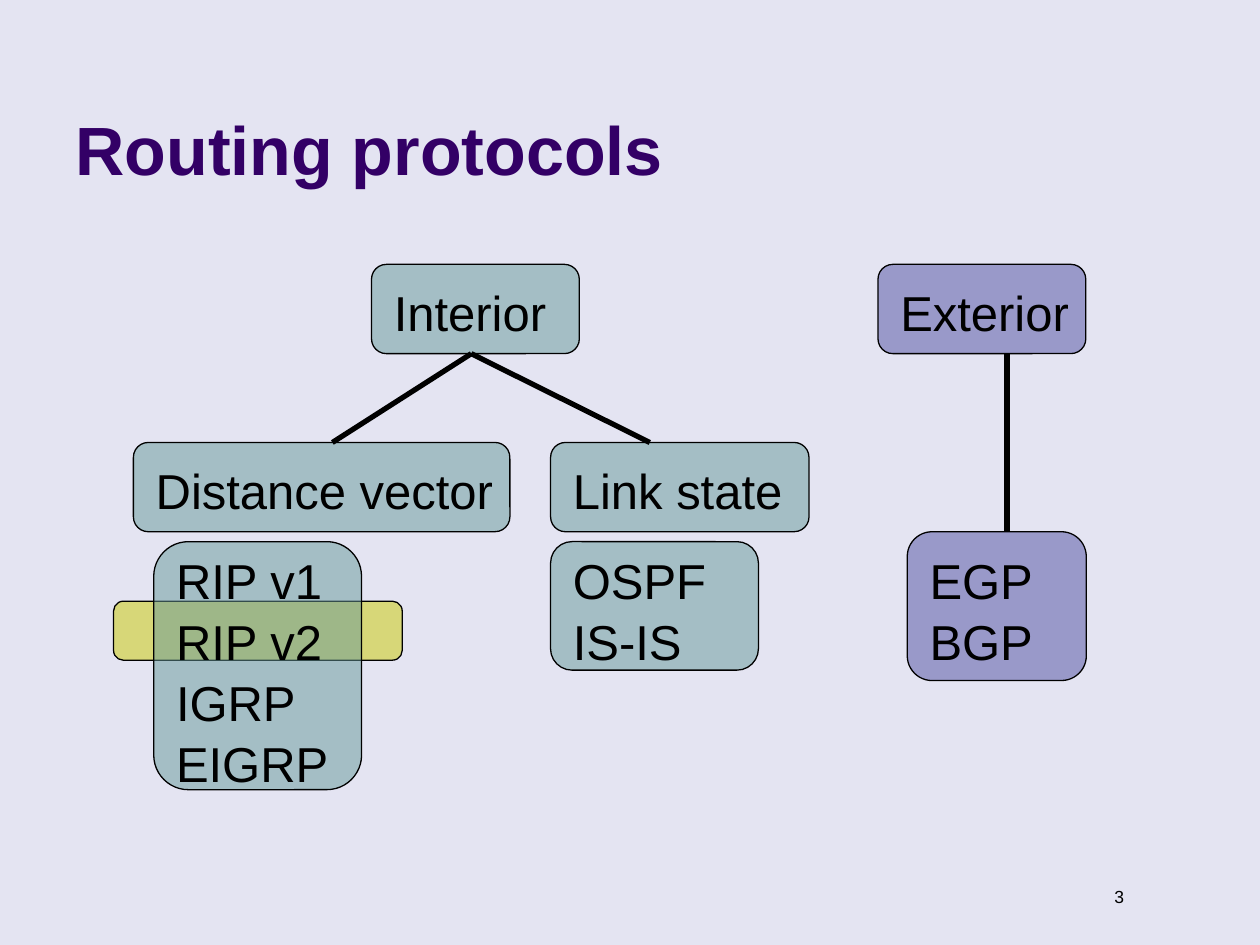
"""Build a slide that sorts routing protocols into interior and exterior families."""
from pptx import Presentation
from pptx import util as u
from pptx.dml.color import RGBColor
from pptx.enum import shapes, text
from pptx.oxml.ns import qn
from lxml import etree

BACKGROUND = RGBColor(0xE4, 0xE4, 0xF2)
BLACK = RGBColor(0x00, 0x00, 0x00)
PURPLE = RGBColor(0x33, 0x00, 0x66)
TEAL = RGBColor(0x66, 0x99, 0x99)
VIOLET = RGBColor(0x4F, 0x4F, 0xA1)
YELLOW = RGBColor(0xCC, 0xCC, 0x00)


class Deck:
    font = "Arial"
    text_size = 28
    line_height = 1.19
    text_inset = 0.2

    def __init__(self, prs):
        self.s = prs.slides.add_slide(prs.slide_layouts[5])
        fill = self.s.background.fill
        fill.solid()
        fill.fore_color.rgb = BACKGROUND

    def style(self, p, size, colour, align=text.PP_ALIGN.LEFT, bold=False):
        p.alignment = align
        p.font.name = self.font
        p.font.size = u.Pt(size)
        p.font.bold = bold
        p.font.color.rgb = colour

    def title(self, words, left, top, width, height):
        sp = self.s.shapes.title
        sp.left, sp.top, sp.width, sp.height = map(u.Cm, (left, top, width, height))
        tf = sp.text_frame
        tf.text = words
        tf.auto_size = text.MSO_AUTO_SIZE.NONE
        tf.vertical_anchor = text.MSO_ANCHOR.BOTTOM
        self.style(tf.paragraphs[0], 39, PURPLE, bold=True)

    def label(self, words, left, top, width, height, size=text_size,
              align=text.PP_ALIGN.LEFT):
        sp = self.s.shapes.add_textbox(*map(u.Cm, (left, top, width, height)))
        tf = sp.text_frame
        tf.word_wrap = True
        p = tf.paragraphs[0]
        p.text = words
        p.line_spacing = 1.04
        self.style(p, size, BLACK, align)

    def box(self, left, top, width, height, colour):
        sp = self.s.shapes.add_shape(shapes.MSO_SHAPE.ROUNDED_RECTANGLE,
                                     *map(u.Cm, (left, top, width, height)))
        sp.shadow.inherit = False
        sp.fill.solid()
        sp.fill.fore_color.rgb = colour
        clr = sp.fill._xPr.find(qn("a:solidFill"))[0]
        etree.SubElement(clr, qn("a:alpha")).set("val", "50000")
        sp.line.color.rgb = BLACK
        sp.line.width = u.Pt(0.75)

    def node(self, words, left, top, width, height, colour, text_width=5.59, drop=0.2):
        self.box(left, top, width, height, colour)
        lines = words.count("\v") + 1
        self.label(words, left + self.text_inset, top + drop, text_width,
                   lines * self.line_height + 0.25)

    def line(self, x1, y1, x2, y2):
        c = self.s.shapes.add_connector(shapes.MSO_CONNECTOR.STRAIGHT,
                                        *map(u.Cm, (x1, y1, x2, y2)))
        c.line.color.rgb = BLACK
        c.line.width = u.Pt(3)
        etree.SubElement(c._element.spPr, qn("a:effectLst"))


def main():
    prs = Presentation()
    prs.slide_width, prs.slide_height = u.Cm(25.4), u.Cm(19.05)
    deck = Deck(prs)
    deck.title("Routing protocols", 1.27, 0.33, 20.96, 3.61)

    deck.box(2.29, 12.12, 5.82, 1.19, YELLOW)
    deck.node("RIP v1\vRIP v2\vIGRP\vEIGRP", 3.1, 10.92, 4.19, 5, TEAL, 3.81, drop=0)
    deck.node("OSPF\vIS-IS", 11.1, 10.92, 4.19, 2.59, TEAL, drop=0)
    deck.node("EGP\vBGP", 18.29, 10.72, 3.61, 3, VIOLET)
    deck.node("Link state", 11.1, 8.92, 5.21, 1.8, TEAL)
    deck.node("Distance vector", 2.69, 8.92, 7.59, 1.8, TEAL, 8.2)
    deck.node("Exterior", 17.7, 5.33, 4.19, 1.8, VIOLET)
    deck.node("Interior", 7.49, 5.33, 4.19, 1.8, TEAL)

    deck.line(20.3, 7.13, 20.3, 10.72)
    for x in (6.7, 13.1):
        deck.line(9.5, 7.13, x, 8.92)

    deck.label("3", 21.31, 17.73, 1.6, 0.69, 10, text.PP_ALIGN.RIGHT)
    prs.save("out.pptx")


if __name__ == "__main__":
    main()
